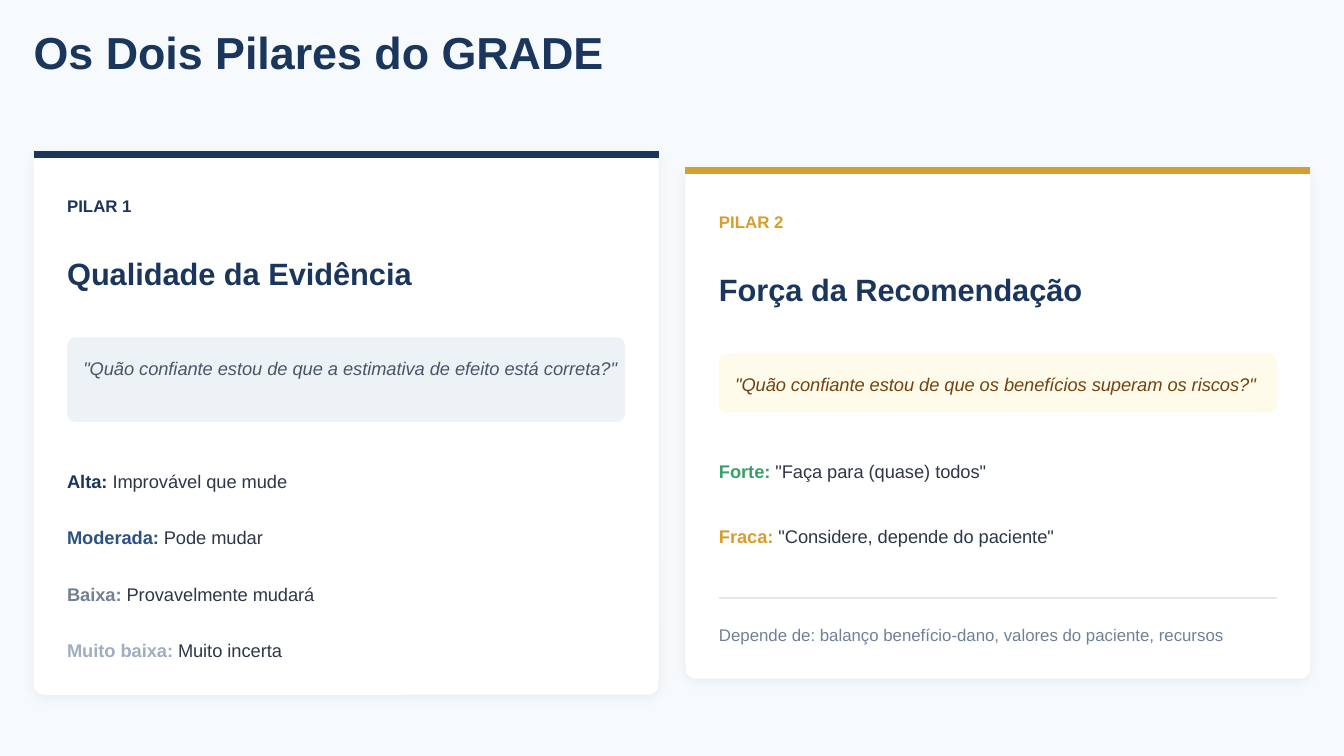
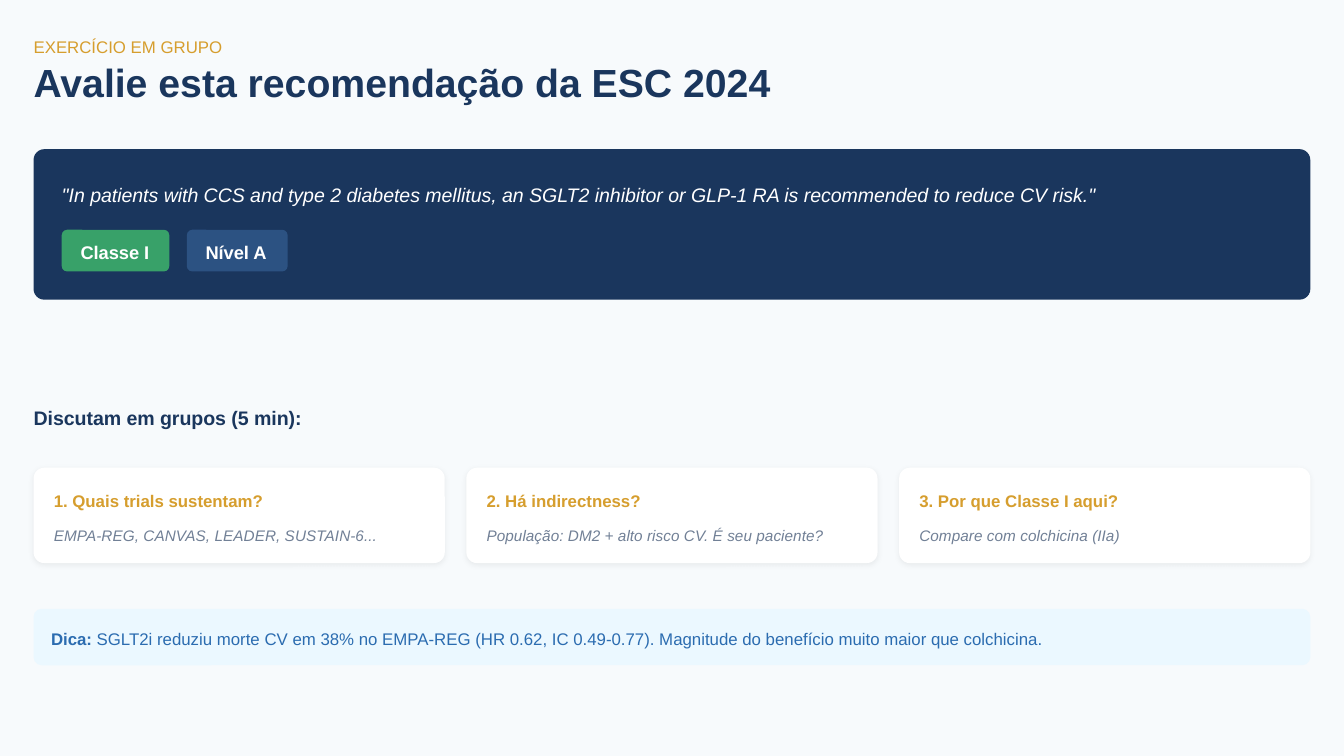
from dataclasses import dataclass

from lxml import etree
from pptx import Presentation
from pptx.dml.color import RGBColor as RGB
from pptx.enum.shapes import MSO_CONNECTOR as CONN, MSO_SHAPE as SHAPE
from pptx.enum.text import MSO_ANCHOR as ANCHOR, MSO_AUTO_SIZE as AUTO, PP_ALIGN as ALIGN
from pptx.oxml.ns import qn
from pptx.util import Inches, Pt


@dataclass(frozen=True)
class Theme:
    font: str = "Arial"
    # Colours
    page: str = "F7FAFC"
    white: str = "FFFFFF"
    navy: str = "1A365D"
    blue: str = "2C5282"
    gold: str = "D69E2E"
    green: str = "38A169"
    ink: str = "2D3748"
    slate: str = "4A5568"
    grey: str = "718096"
    pale_grey: str = "A0AEC0"
    rule: str = "E2E8F0"
    quote_grey: str = "EDF2F7"
    quote_cream: str = "FFFBEB"
    brown: str = "744210"
    tip_fill: str = "EBF8FF"
    tip_text: str = "2B6CB0"
    # Type sizes
    title: float = 24
    subtitle: float = 21
    heading: float = 16.5
    lead: float = 10.5
    body: float = 9.75
    label: float = 9
    note: float = 8.25
    # Corner radii and page margin in inches
    card_radius: float = 0.08
    box_radius: float = 0.06
    tag_radius: float = 0.04
    margin: float = 0.25
    width: float = 9.5


T = Theme()


def fill_text(s, text, size=T.body, color=T.ink, bold=False, italic=False,
              spacing=1.4, after=0, lead=None, lead_color=None):
    """Write one paragraph, with an optional bold lead-in before the text."""
    tf = s.text_frame
    tf.word_wrap = True
    tf.auto_size = AUTO.NONE
    tf.vertical_anchor = ANCHOR.TOP
    tf.margin_left = tf.margin_right = tf.margin_top = tf.margin_bottom = 0
    p = tf.paragraphs[0]
    p.alignment = ALIGN.LEFT
    p.line_spacing = Pt(round(size * spacing, 2))
    p.space_before, p.space_after = Pt(0), Pt(after)
    runs = [(text, color, bold)]
    if lead:
        runs = [(lead, lead_color or color, True), (" " + text, color, False)]
    for part, part_color, part_bold in runs:
        r = p.add_run()
        r.text = part
        r.font.name, r.font.size = T.font, Pt(size)
        r.font.bold, r.font.italic = part_bold, italic
        r.font.color.rgb = RGB.from_string(part_color)


def add_text(slide, x, y, w, h, text, **fmt):
    s = slide.shapes.add_textbox(Inches(x), Inches(y), Inches(w), Inches(h))
    fill_text(s, text, **fmt)


def add_title(slide, y, w, h, text, size):
    s = slide.shapes.title
    s.left, s.top, s.width, s.height = (Inches(v) for v in (T.margin, y, w, h))
    fill_text(s, text, size=size, color=T.navy, bold=True, spacing=1)


def add_box(slide, x, y, w, h, fill, radius, shadow=None):
    """Rounded panel; shadow is (blur, distance) in points."""
    s = slide.shapes.add_shape(SHAPE.ROUNDED_RECTANGLE,
                               Inches(x), Inches(y), Inches(w), Inches(h))
    s.adjustments[0] = radius / min(w, h)
    s.fill.solid()
    s.fill.fore_color.rgb = RGB.from_string(fill)
    s.line.fill.background()
    s.shadow.inherit = False
    if shadow:
        blur, dist = shadow
        effects = s.element.spPr.find(qn("a:effectLst"))
        outer = etree.SubElement(effects, qn("a:outerShdw"), blurRad=str(Pt(blur)),
                                 dist=str(Pt(dist)), dir="5400000", algn="bl",
                                 rotWithShape="0")
        color = etree.SubElement(outer, qn("a:srgbClr"), val="000000")
        etree.SubElement(color, qn("a:alpha"), val="6000")


def add_rule(slide, x, y, w, color, weight):
    s = slide.shapes.add_connector(CONN.STRAIGHT, Inches(x), Inches(y),
                                   Inches(x + w), Inches(y))
    s.line.color.rgb = RGB.from_string(color)
    s.line.width = Pt(weight)
    etree.SubElement(s.element.spPr, qn("a:effectLst"))


def add_pillar(slide, x, y, h, accent, label, heading, quote, quote_h, quote_fill, quote_color):
    """Card hung from a coloured band at height y."""
    inner = x + 0.25
    add_box(slide, x, y - 0.02, 4.65, h, T.white, T.card_radius, shadow=(6, 1.5))
    add_rule(slide, x, y, 4.65, accent, 3.75)
    add_text(slide, inner, y + 0.28, 4.23, 0.17, label,
             size=T.label, color=accent, bold=True, after=6)
    add_text(slide, inner, y + 0.7, 4.23, 0.32, heading,
             size=T.heading, color=T.navy, bold=True, after=12)
    add_box(slide, inner, y + 1.36, 4.15, quote_h, quote_fill, T.box_radius)
    add_text(slide, inner + 0.12, y + 1.48, 4, quote_h - 0.25, quote,
             color=quote_color, italic=True)


def add_levels(slide, x, y, pitch, levels):
    for i, (lead, text, color) in enumerate(levels):
        add_text(slide, x, y + i * pitch, 4.23, 0.19, text, lead=lead, lead_color=color)


def add_tag(slide, x, w, text, fill):
    add_box(slide, x, 1.71, w, 0.31, fill, T.tag_radius)
    add_text(slide, x + 0.14, 1.77, w - 0.27, 0.19, text, color=T.white, bold=True)


def add_question(slide, x, question, hint):
    add_box(slide, x, 3.48, 3.06, 0.71, T.white, T.card_radius, shadow=(3, 0.75))
    add_text(slide, x + 0.15, 3.63, 2.82, 0.17, question,
             size=T.label, color=T.gold, bold=True, after=6)
    add_text(slide, x + 0.15, 3.89, 2.82, 0.16, hint,
             size=T.note, color=T.grey, italic=True)


def new_slide(prs):
    slide = prs.slides.add_slide(prs.slide_layouts[5])
    slide.background.fill.solid()
    slide.background.fill.fore_color.rgb = RGB.from_string(T.page)
    return slide


def build_pillars(prs):
    slide = new_slide(prs)
    add_title(slide, 0.25, 4.86, 0.33, "Os Dois Pilares do GRADE", T.title)

    # Pillar 1: quality of evidence
    add_pillar(slide, T.margin, 1.15, 4.04, T.navy, "PILAR 1", "Qualidade da Evidência",
               '"Quão confiante estou de que a estimativa de efeito está correta?"',
               0.63, T.quote_grey, T.slate)
    add_levels(slide, 0.5, 3.47, 0.42, [
        ("Alta:", "Improvável que mude", T.navy),
        ("Moderada:", "Pode mudar", T.blue),
        ("Baixa:", "Provavelmente mudará", T.grey),
        ("Muito baixa:", "Muito incerta", T.pale_grey),
    ])

    # Pillar 2: strength of recommendation
    add_pillar(slide, 5.1, 1.27, 3.8, T.gold, "PILAR 2", "Força da Recomendação",
               '"Quão confiante estou de que os benefícios superam os riscos?"',
               0.44, T.quote_cream, T.brown)
    add_levels(slide, 5.35, 3.4, 0.48, [
        ("Forte:", '"Faça para (quase) todos"', T.green),
        ("Fraca:", '"Considere, depende do paciente"', T.gold),
    ])
    add_rule(slide, 5.35, 4.45, 4.15, T.rule, 0.75)
    add_text(slide, 5.35, 4.62, 4.23, 0.17,
             "Depende de: balanço benefício-dano, valores do paciente, recursos",
             size=T.label, color=T.grey)


def build_exercise(prs):
    slide = new_slide(prs)
    add_text(slide, T.margin, 0.25, 9.69, 0.17, "EXERCÍCIO EM GRUPO",
             size=T.label, color=T.gold, after=4.5)
    add_title(slide, 0.49, 5.6, 0.29, "Avalie esta recomendação da ESC 2024", T.subtitle)

    # Recommendation with its class and level
    add_box(slide, T.margin, 1.11, T.width, 1.12, T.navy, T.card_radius)
    add_text(slide, 0.46, 1.32, 9.27, 0.22,
             '"In patients with CCS and type 2 diabetes mellitus, an SGLT2 inhibitor '
             'or GLP-1 RA is recommended to reduce CV risk."',
             size=T.lead, color=T.white, italic=True, spacing=1.5)
    add_tag(slide, 0.46, 0.8, "Classe I", T.green)
    add_tag(slide, 1.39, 0.75, "Nível A", T.blue)

    # Discussion questions
    add_text(slide, T.margin, 2.99, 9.69, 0.2, "Discutam em grupos (5 min):",
             size=T.lead, color=T.navy, bold=True, after=9)
    questions = [
        ("1. Quais trials sustentam?", "EMPA-REG, CANVAS, LEADER, SUSTAIN-6..."),
        ("2. Há indirectness?", "População: DM2 + alto risco CV. É seu paciente?"),
        ("3. Por que Classe I aqui?", "Compare com colchicina (IIa)"),
    ]
    for i, (question, hint) in enumerate(questions):
        add_question(slide, T.margin + i * 3.22, question, hint)

    # Tip
    add_box(slide, T.margin, 4.53, T.width, 0.42, T.tip_fill, T.box_radius)
    add_text(slide, 0.38, 4.65, 9.44, 0.17,
             "SGLT2i reduziu morte CV em 38% no EMPA-REG (HR 0.62, IC 0.49-0.77). "
             "Magnitude do benefício muito maior que colchicina.",
             size=T.label, color=T.tip_text, lead="Dica:")


def main():
    prs = Presentation()
    # Widescreen, 16:9
    prs.slide_width = Inches(10)
    prs.slide_height = prs.slide_width * 9 // 16
    build_pillars(prs)
    build_exercise(prs)
    prs.save("out.pptx")


if __name__ == "__main__":
    main()
